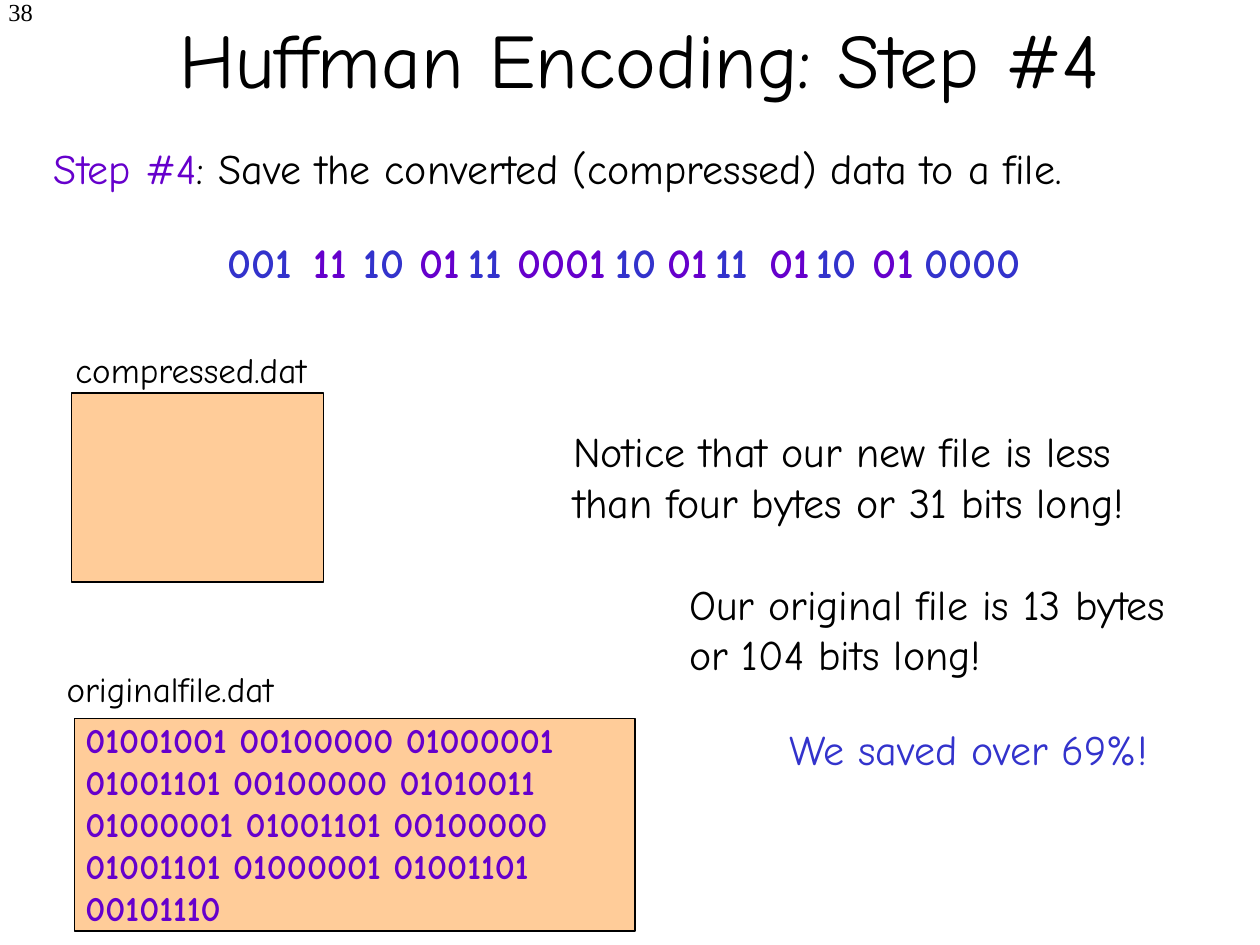
from dataclasses import dataclass

import pptx
import pptx.util
from pptx.dml.color import RGBColor
from pptx.enum.shapes import MSO_SHAPE
from pptx.enum.text import MSO_ANCHOR, MSO_AUTO_SIZE, PP_ALIGN

PX = 9144  # one px is a hundredth of an inch


@dataclass(frozen=True)
class Theme:
    font: str = "Comic Neue"
    number_font: str = "Times New Roman"
    black: str = "000000"
    purple: str = "6600CC"
    blue: str = "3333CC"
    file_fill: str = "FFCC99"
    title: int = 44
    body: int = 24
    label: int = 20
    number: int = 14


T = Theme()


@dataclass(frozen=True)
class Box:
    x: int
    y: int
    w: int
    h: int

    def emu(self) -> tuple[int, ...]:
        return tuple(v * PX for v in (self.x, self.y, self.w, self.h))


@dataclass(frozen=True)
class Run:
    text: str
    color: str = T.black
    size: int = T.body
    bold: bool = False
    font: str = T.font


@dataclass(frozen=True)
class Code:
    bits: str
    x: int


@dataclass(frozen=True)
class File:
    name: str
    label: Box
    body: Box


def add_run(p, run: Run) -> None:
    for i, line in enumerate(run.text.split("\n")):
        if i:
            p.add_line_break()
        r = p.add_run()
        r.text = line
        r.font.name = run.font
        r.font.size = pptx.util.Pt(run.size)
        r.font.bold = run.bold
        r.font.color.rgb = RGBColor.from_string(run.color)


def add_text(s, box: Box, *paragraphs: list[Run], align=PP_ALIGN.LEFT) -> None:
    tf = s.shapes.add_textbox(*box.emu()).text_frame
    tf.word_wrap = True
    for i, runs in enumerate(paragraphs):
        p = tf.add_paragraph() if i else tf.paragraphs[0]
        p.alignment = align
        for run in runs:
            add_run(p, run)


def add_title(s, box: Box, text: str) -> None:
    sp = s.shapes.title
    sp.left, sp.top, sp.width, sp.height = box.emu()
    tf = sp.text_frame
    tf.auto_size = MSO_AUTO_SIZE.NONE
    tf.vertical_anchor = MSO_ANCHOR.MIDDLE
    p = tf.paragraphs[0]
    p.alignment = PP_ALIGN.CENTER
    add_run(p, Run(text, size=T.title))


def add_file(s, file: File) -> None:
    add_text(s, file.label, [Run(file.name, size=T.label)])
    sp = s.shapes.add_shape(MSO_SHAPE.RECTANGLE, *file.body.emu())
    sp.shadow.inherit = False
    sp.fill.solid()
    sp.fill.fore_color.rgb = RGBColor.from_string(T.file_fill)
    sp.line.color.rgb = RGBColor.from_string(T.black)
    sp.line.width = pptx.util.Pt(0.75)


CODES = [
    Code("001", 171), Code("11", 239), Code("10", 279), Code("01", 323),
    Code("11", 362), Code("0001", 401), Code("10", 479), Code("01", 520),
    Code("11", 558), Code("01", 601), Code("10", 638), Code("01", 683),
    Code("0000", 724),
]
CODE_WIDTHS = {2: 61, 3: 84, 4: 101}

FILES = [
    File("compressed.dat", Box(50, 272, 223, 43), Box(57, 312, 200, 150)),
    File("originalfile.dat", Box(43, 525, 210, 43), Box(59, 570, 445, 169)),
]

ORIGINAL_BITS = [
    "01001001 00100000 01000001\n01001101 00100000 01010011\n01000001 01001101 00100000",
    "01001101 01000001 01001101",
    "00101110",
]


def main() -> None:
    prs = pptx.Presentation()
    prs.slide_width, prs.slide_height = 1000 * PX, 750 * PX
    s = prs.slides.add_slide(prs.slide_layouts[5])

    # Slide number, title and step
    add_text(s, Box(-172, -7, 208, 50),
             [Run("38", size=T.number, font=T.number_font)], align=PP_ALIGN.RIGHT)
    add_title(s, Box(83, -17, 850, 125), "Huffman Encoding: Step #4")
    add_text(s, Box(33, 108, 915, 50),
             [Run("Step #4", T.purple),
              Run(": Save the converted (compressed) data to a file.")])

    # Huffman codes in alternating colours
    for i, code in enumerate(CODES):
        color = T.purple if i % 2 else T.blue
        add_text(s, Box(code.x, 183, CODE_WIDTHS[len(code.bits)], 50),
                 [Run(code.bits, color, bold=True)])

    # Files and the contents of the uncompressed one
    for file in FILES:
        add_file(s, file)
    add_text(s, Box(58, 565, 464, 210),
             *([Run(bits, T.purple, T.label, True)] for bits in ORIGINAL_BITS))

    # Remarks on the sizes
    add_text(s, Box(445, 333, 515, 91),
             [Run("Notice that our new file is less\nthan four bytes or 31 bits long!")])
    add_text(s, Box(537, 454, 398, 90),
             [Run("Our original file is 13 bytes or 104 bits long!")])
    add_text(s, Box(617, 569, 398, 50), [Run("We saved over 69%!", T.blue)])

    prs.save("out.pptx")


if __name__ == "__main__":
    main()
